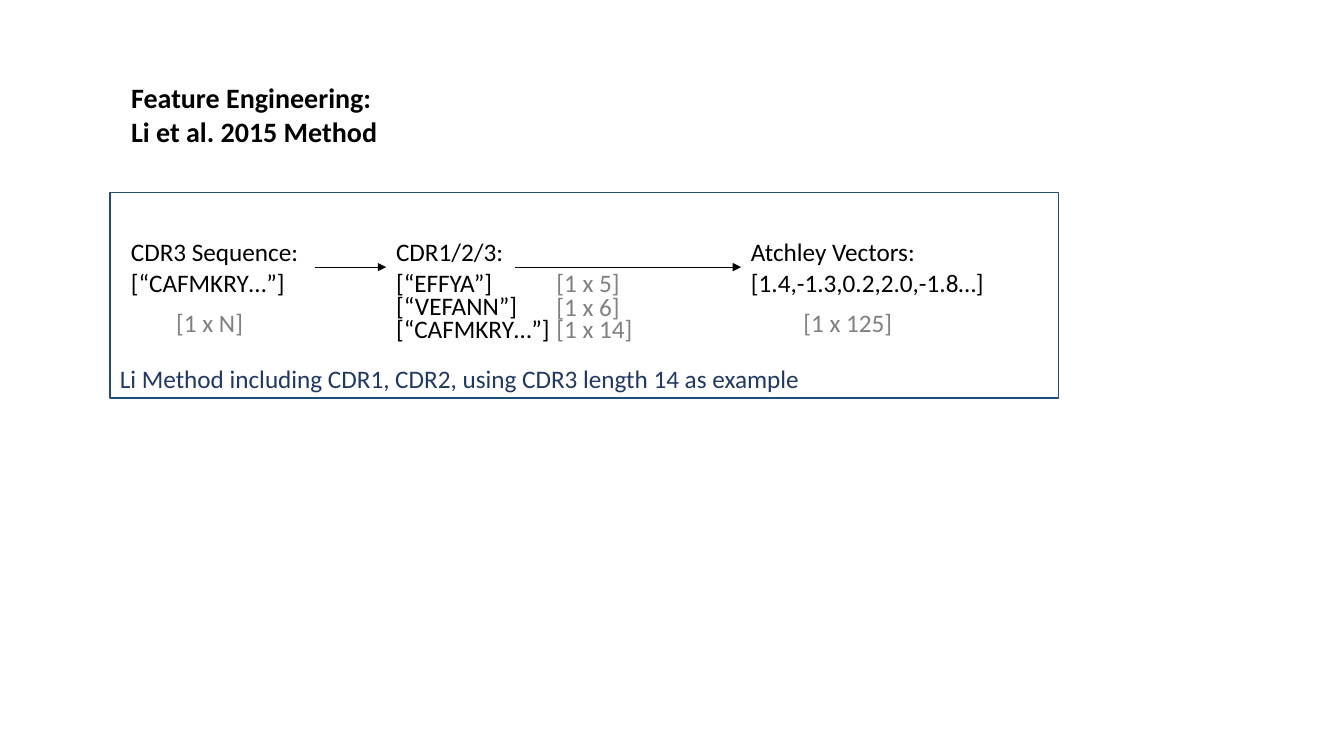
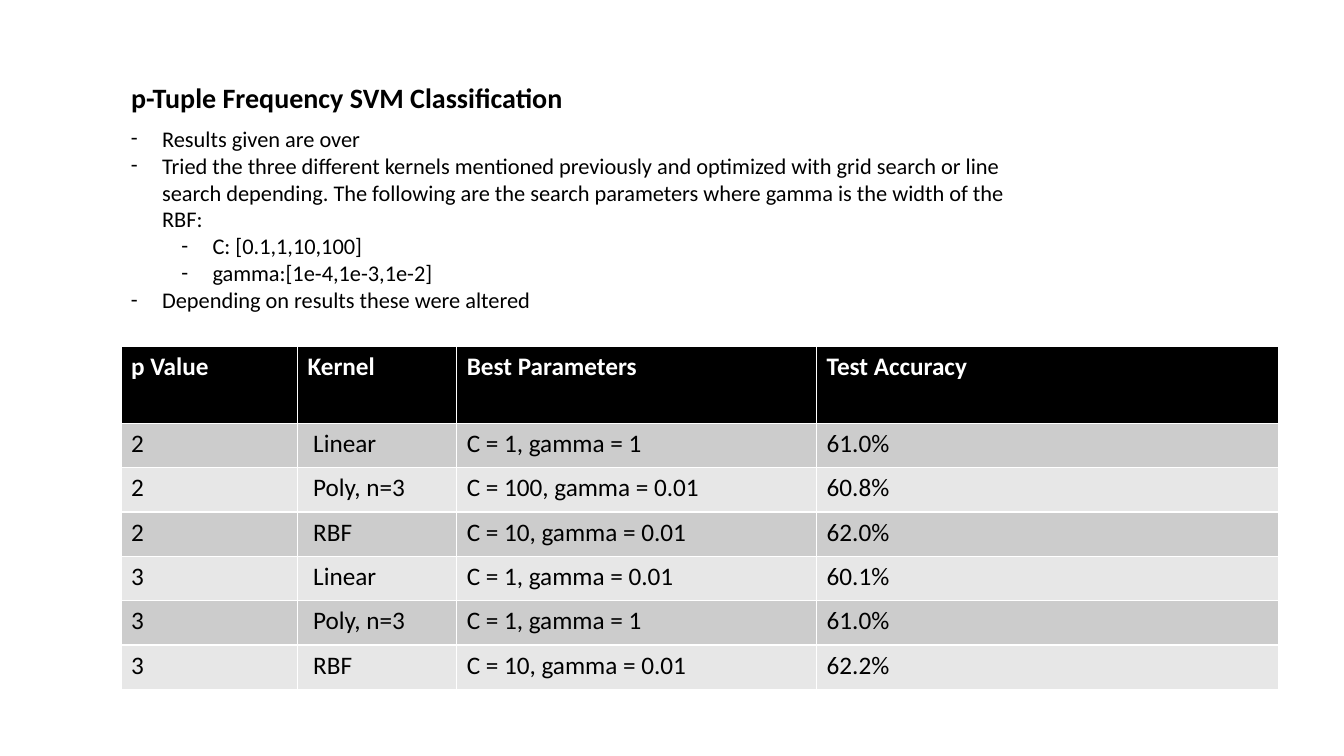
from lxml import etree
from pptx import Presentation
from pptx.dml.color import RGBColor
from pptx.enum.shapes import MSO_CONNECTOR, MSO_SHAPE
from pptx.enum.text import MSO_ANCHOR, MSO_AUTO_SIZE, PP_ALIGN
from pptx.oxml.ns import qn
from pptx.util import Inches, Pt

BLACK = RGBColor(0x00, 0x00, 0x00)
WHITE = RGBColor(0xFF, 0xFF, 0xFF)
GRAY = RGBColor(0x80, 0x80, 0x80)
BLUE = RGBColor(0x1F, 0x4E, 0x79)
NAVY = RGBColor(0x20, 0x38, 0x64)
DARK = RGBColor(0xCC, 0xCC, 0xCC)
PALE = RGBColor(0xE7, 0xE7, 0xE7)

FONT = "Calibri"
LEFT = PP_ALIGN.LEFT
TOP = MSO_ANCHOR.TOP
BOTTOM = MSO_ANCHOR.BOTTOM
FIXED = MSO_AUTO_SIZE.NONE
RECT = MSO_SHAPE.RECTANGLE
STRAIGHT = MSO_CONNECTOR.STRAIGHT
TITLE_ONLY = 5
EDGE = 1.2

LABELS = [
    ("CDR3 Sequence:\n[“CAFMKRY…”]", EDGE, 2.3, BLACK),
    ("CDR1/2/3:\n[“EFFYA”]", 3.83, 2.3, BLACK),
    ("[“VEFANN”]", 3.83, 2.83, BLACK),
    ("[“CAFMKRY…”]", 3.83, 3.06, BLACK),
    ("Atchley Vectors:\n[1.4,-1.3,0.2,2.0,-1.8…]", 7.35, 2.3, BLACK),
    ("[1 x N]", 1.65, 3, GRAY),
    ("[1 x 5]", 5.42, 2.6, GRAY),
    ("[1 x 6]", 5.42, 2.84, GRAY),
    ("[1 x 14]", 5.42, 3.06, GRAY),
    ("[1 x 125]", 7.87, 3, GRAY),
]
ARROWS = [(3.12, 3.83), (5.11, 7.35)]

POINTS = [
    (0, "Results given are over"),
    (0, "Tried the three different kernels mentioned previously and optimized "
        "with grid search or line search depending. The following are the "
        "search parameters where gamma is the width of the RBF:"),
    (1, "C: [0.1,1,10,100]"),
    (1, "gamma:[1e-4,1e-3,1e-2]"),
    (0, "Depending on results these were altered"),
]

COLS = [1.75, 1.58, 3.57, 4.58]
HEAD = 0.76
ROW = 0.44
ROWS = [
    ("p Value", "Kernel", "Best Parameters", "Test Accuracy"),
    ("2", " Linear", "C = 1, gamma = 1", "61.0%"),
    ("2", " Poly, n=3", "C = 100, gamma = 0.01", "60.8%"),
    ("2", " RBF", "C = 10, gamma = 0.01", "62.0%"),
    ("3", " Linear", "C = 1, gamma = 0.01", "60.1%"),
    ("3", " Poly, n=3", "C = 1, gamma = 1", "61.0%"),
    ("3", " RBF", "C = 10, gamma = 0.01", "62.2%"),
]


def style(frame, size, color, bold=False):
    for para in frame.paragraphs:
        para.alignment = LEFT
        for run in para.runs:
            font = run.font
            font.name = FONT
            font.size = Pt(size)
            font.bold = bold
            font.color.rgb = color


def new_slide(deck, text, width, height):
    slide = deck.slides.add_slide(deck.slide_layouts[TITLE_ONLY])
    title = slide.shapes.title
    title.left, title.top = Inches(EDGE), Inches(0.75)
    title.width, title.height = Inches(width), Inches(height)
    frame = title.text_frame
    frame.text = text
    frame.word_wrap = True
    frame.auto_size = FIXED
    frame.vertical_anchor = TOP
    style(frame, 20, BLACK, True)
    return slide


def add_text(slide, text, x, y, color=BLACK, size=18, width=3, height=0.4):
    box = slide.shapes.add_textbox(
        Inches(x), Inches(y), Inches(width), Inches(height))
    frame = box.text_frame
    frame.word_wrap = True
    frame.text = text
    style(frame, size, color)
    return frame


def add_frame(slide, text, x, y, width, height):
    box = slide.shapes.add_shape(
        RECT, Inches(x), Inches(y), Inches(width), Inches(height))
    box.shadow.inherit = False
    box.fill.background()
    box.line.color.rgb = BLUE
    box.line.width = Pt(1)
    frame = box.text_frame
    frame.text = text
    frame.vertical_anchor = BOTTOM
    style(frame, 18, NAVY)


def add_arrow(slide, start, end, y):
    arrow = slide.shapes.add_connector(
        STRAIGHT, Inches(start), Inches(y), Inches(end), Inches(y))
    arrow.line.color.rgb = BLACK
    arrow.line.width = Pt(0.5)
    line = arrow.line._get_or_add_ln()
    etree.SubElement(line, qn("a:tailEnd"), type="triangle")
    etree.SubElement(arrow._element.spPr, qn("a:effectLst"))


def add_points(slide, points):
    text = "\n".join(item for _, item in points)
    frame = add_text(slide, text, EDGE, 1.19, size=16, width=8.99, height=2.26)
    for para, (level, _) in zip(frame.paragraphs, points):
        para.level = level
        props = para._p.get_or_add_pPr()
        props.set("marL", str(Inches(0.31 + 0.5 * level)))
        props.set("indent", str(Inches(-0.31)))
        etree.SubElement(props, qn("a:buFont"), typeface=FONT)
        etree.SubElement(props, qn("a:buChar"), char="-")


def add_grid(slide, rows):
    height = HEAD + ROW * (len(rows) - 1)
    table = slide.shapes.add_table(
        len(rows), len(COLS), Inches(EDGE), Inches(3.44),
        Inches(sum(COLS)), Inches(height)).table
    table.horz_banding = False
    for col, width in zip(table.columns, COLS):
        col.width = Inches(width)
    for i, row in enumerate(rows):
        head = i == 0
        table.rows[i].height = Inches(HEAD if head else ROW)
        fill = BLACK if head else DARK if i % 2 else PALE
        for j, text in enumerate(row):
            cell = table.cell(i, j)
            cell.fill.solid()
            cell.fill.fore_color.rgb = fill
            cell.text_frame.text = text
            style(cell.text_frame, 18, WHITE if head else BLACK, head)


def add_method(deck):
    slide = new_slide(
        deck, "Feature Engineering:\nLi et al. 2015 Method", 3.23, 0.77)
    add_frame(
        slide, "Li Method including CDR1, CDR2, using CDR3 length 14 as example",
        1.09, 1.91, 9.41, 2.04)
    for label in LABELS:
        add_text(slide, *label)
    for start, end in ARROWS:
        add_arrow(slide, start, end, 2.65)


def add_results(deck):
    slide = new_slide(deck, "p-Tuple Frequency SVM Classification", 4.65, 0.44)
    add_points(slide, POINTS)
    add_grid(slide, ROWS)


def main():
    deck = Presentation()
    deck.slide_width = Inches(13.33)
    deck.slide_height = Inches(7.5)
    add_method(deck)
    add_results(deck)
    deck.save("out.pptx")


if __name__ == "__main__":
    main()
